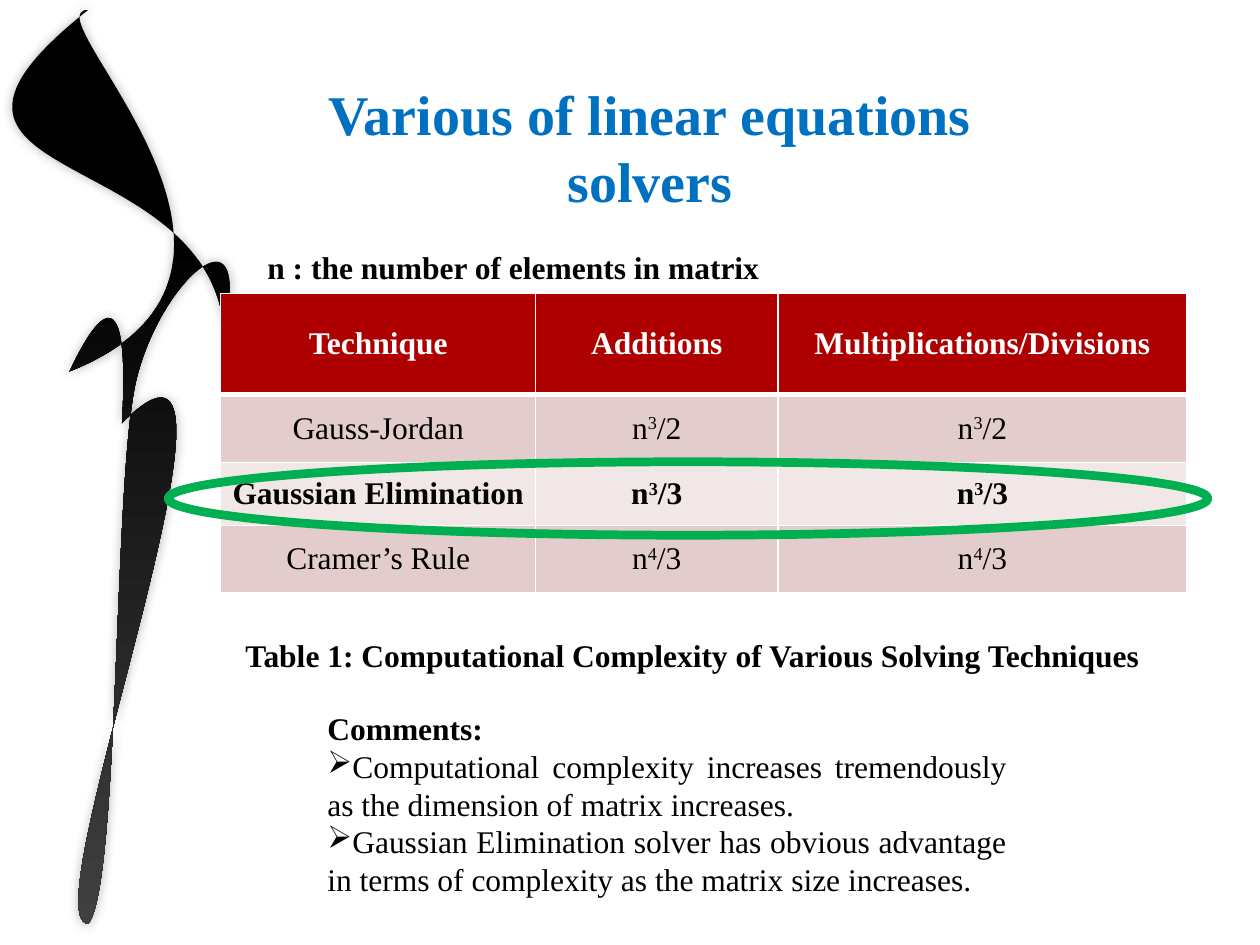
"""Build a slide comparing the computational cost of linear equation solvers."""
import pptx
import pptx.dml.color
import pptx.enum.shapes
import pptx.enum.text
import pptx.oxml
import pptx.oxml.ns
import pptx.util

Cm, Pt = pptx.util.Cm, pptx.util.Pt
ALIGN = pptx.enum.text.PP_ALIGN
ANCHOR = pptx.enum.text.MSO_ANCHOR
qn = pptx.oxml.ns.qn
NAMESPACE = pptx.oxml.ns.nsdecls("a")

FONT = "Times New Roman"
BLACK, WHITE, BLUE, GREEN = "000000", "FFFFFF", "0070C0", "00B050"

TITLE = ("Various of linear equations solvers", (5.08, 1.47, 16.05, 1.63))
LABELS = [
    ("n : the number of elements in matrix", (5.08, 4.88, 10.54, 1.02)),
    ("Table 1: Computational Complexity of Various Solving Techniques", (4.65, 12.7, 18.62, 1.02)),
]
COMMENTS_HEADING = "Comments:"
COMMENTS = [
    "Computational complexity increases tremendously as the dimension of matrix increases.",
    "Gaussian Elimination solver has obvious advantage in terms of complexity as the matrix size increases.",
]
COMMENTS_PLACE = (6.35, 14.17, 14.2, 4.11)

ROWS = [
    ("Technique", "Additions", "Multiplications/Divisions"),
    ("Gauss-Jordan", "n^3/2", "n^3/2"),
    ("Gaussian Elimination", "n^3/3", "n^3/3"),
    ("Cramer’s Rule", "n^4/3", "n^4/3"),
]
ROW_FILLS = ["AE0000", "E3CCCC", "F2E7E7", "E3CCCC"]
BOLD_ROWS = (0, 2)
COLUMN_WIDTHS = [6.35, 4.88, 8.25]
ROW_HEIGHTS = [2.03, 1.37, 1.27, 1.37]
TABLE_CORNER = (4.45, 5.92)
ELLIPSE_PLACE = (3.39, 9.31, 20.96, 1.48)

RIBBON_START = (2.46, 8.53)
RIBBON_CURVES = [
    [(2.69, 4.47), (1.42, 7.49), (1.4, 7.49)],
    [(6.53, 5.46), (0.53, 0.2), (1.78, 0.2)],
    [(-2.74, 3.78), (4.14, 2.82), (4.52, 6.63)],
    [(5.11, 3.99), (3.2, 5.69), (2.74, 7.7)],
    [(2.29, 9.68), (2.41, 17.88), (1.78, 18.62)],
    [(0.53, 18.62), (5.72, 5.26), RIBBON_START],
]


def color(value):
    return pptx.dml.color.RGBColor.from_string(value)


def place(values):
    return [Cm(value) for value in values]


def apply(target, formats):
    for name, value in formats.items():
        setattr(target, name, value)


def write(para, text, align=ALIGN.CENTER, size=18, bold=True, fill=BLACK):
    """Write text in a paragraph, raising the digit that follows a caret."""
    para.alignment = align
    base, _, power = text.partition("^")
    for index, part in enumerate(filter(None, (base, power[:1], power[1:]))):
        span = para.add_run()
        span.text = part
        apply(span.font, {"name": FONT, "size": Pt(size), "bold": bold})
        span.font.color.rgb = color(fill)
        if index == 1:
            span.font._element.set("baseline", "30000")


def add_ribbon(page):
    """Draw the curved ribbon with its gradient and soft shadow."""
    builder = page.shapes.build_freeform(*place(RIBBON_START), scale=1.0)
    points = [place(point) for curve in RIBBON_CURVES for point in curve]
    builder.add_line_segments(points, close=True)
    ribbon = builder.convert_to_shape()
    outline = next(ribbon._element.iter(qn("a:path")))
    lines = outline.findall(qn("a:lnTo"))
    for first in range(0, len(RIBBON_CURVES) * 3, 3):
        curve = pptx.oxml.parse_xml(f"<a:cubicBezTo {NAMESPACE}/>")
        lines[first].addprevious(curve)
        for line in lines[first:first + 3]:
            curve.append(line[0])
    for line in lines:
        outline.remove(line)
    ribbon.fill.gradient()
    ribbon.fill.gradient_angle = 270
    for stop, (position, value) in zip(ribbon.fill.gradient_stops, [(0.25, BLACK), (1.0, "404040")]):
        stop.position = position
        stop.color.rgb = color(value)
    ribbon.line.fill.background()
    ribbon.shadow.inherit = False
    ribbon._element.spPr.find(qn("a:effectLst")).append(pptx.oxml.parse_xml(
        f'<a:outerShdw {NAMESPACE} blurRad="{Pt(6)}" dist="0" dir="0" rotWithShape="0">'
        '<a:srgbClr val="404040"><a:alpha val="40000"/></a:srgbClr></a:outerShdw>'))


def set_borders(cell, is_header):
    properties = cell._tc.get_or_add_tcPr()
    for index, side in enumerate(("lnL", "lnR", "lnT", "lnB")):
        width = Pt(3 if is_header and side == "lnB" else 1)
        properties.insert(index, pptx.oxml.parse_xml(
            f'<a:{side} {NAMESPACE} w="{width}"><a:solidFill>'
            f'<a:srgbClr val="{WHITE}"/></a:solidFill></a:{side}>'))


def add_cost_table(page):
    """Add the table of operation counts."""
    size = (sum(COLUMN_WIDTHS), sum(ROW_HEIGHTS))
    table = page.shapes.add_table(len(ROWS), len(COLUMN_WIDTHS), *place(TABLE_CORNER + size)).table
    for column, width in zip(table.columns, COLUMN_WIDTHS):
        column.width = Cm(width)
    for row, height in zip(table.rows, ROW_HEIGHTS):
        row.height = Cm(height)
    for row_index, texts in enumerate(ROWS):
        for column_index, text in enumerate(texts):
            cell = table.cell(row_index, column_index)
            apply(cell, {"vertical_anchor": ANCHOR.MIDDLE, "margin_left": Cm(0.18),
                         "margin_right": Cm(0.18), "margin_top": 0, "margin_bottom": 0})
            cell.fill.solid()
            cell.fill.fore_color.rgb = color(ROW_FILLS[row_index])
            set_borders(cell, row_index == 0)
            para = cell.text_frame.paragraphs[0]
            apply(para, {"space_before": Pt(2), "space_after": Pt(2)})
            write(para, text, bold=row_index in BOLD_ROWS, fill=BLACK if row_index else WHITE)


def add_text_box(page, position, wrap):
    box = page.shapes.add_textbox(*place(position))
    apply(box.text_frame, {"word_wrap": wrap, "auto_size": pptx.enum.text.MSO_AUTO_SIZE.SHAPE_TO_FIT_TEXT})
    return box.text_frame


def add_comments(page):
    """Add the heading and the bulleted comments."""
    frame = add_text_box(page, COMMENTS_PLACE, True)
    write(frame.paragraphs[0], COMMENTS_HEADING, ALIGN.JUSTIFY)
    for text in COMMENTS:
        para = frame.add_paragraph()
        write(para, text, ALIGN.JUSTIFY, bold=False)
        para._p.get_or_add_pPr().append(pptx.oxml.parse_xml(f'<a:buChar {NAMESPACE} char="➢"/>'))


def main():
    deck = pptx.Presentation()
    deck.slide_width, deck.slide_height = Cm(25.4), Cm(19.05)
    page = deck.slides.add_slide(deck.slide_layouts[5])
    add_ribbon(page)
    add_cost_table(page)
    for text, position in LABELS:
        write(add_text_box(page, position, False).paragraphs[0], text)
    add_comments(page)

    title = page.shapes.title
    apply(title, dict(zip(("left", "top", "width", "height"), place(TITLE[1]))))
    apply(title.text_frame, {"word_wrap": True, "vertical_anchor": ANCHOR.TOP,
                             "auto_size": pptx.enum.text.MSO_AUTO_SIZE.NONE})
    write(title.text_frame.paragraphs[0], TITLE[0], size=32, fill=BLUE)

    ellipse = page.shapes.add_shape(pptx.enum.shapes.MSO_SHAPE.OVAL, *place(ELLIPSE_PLACE))
    ellipse.shadow.inherit = False
    ellipse.fill.background()
    ellipse.line.color.rgb = color(GREEN)
    ellipse.line.width = Pt(5)
    deck.save("out.pptx")


if __name__ == "__main__":
    main()
